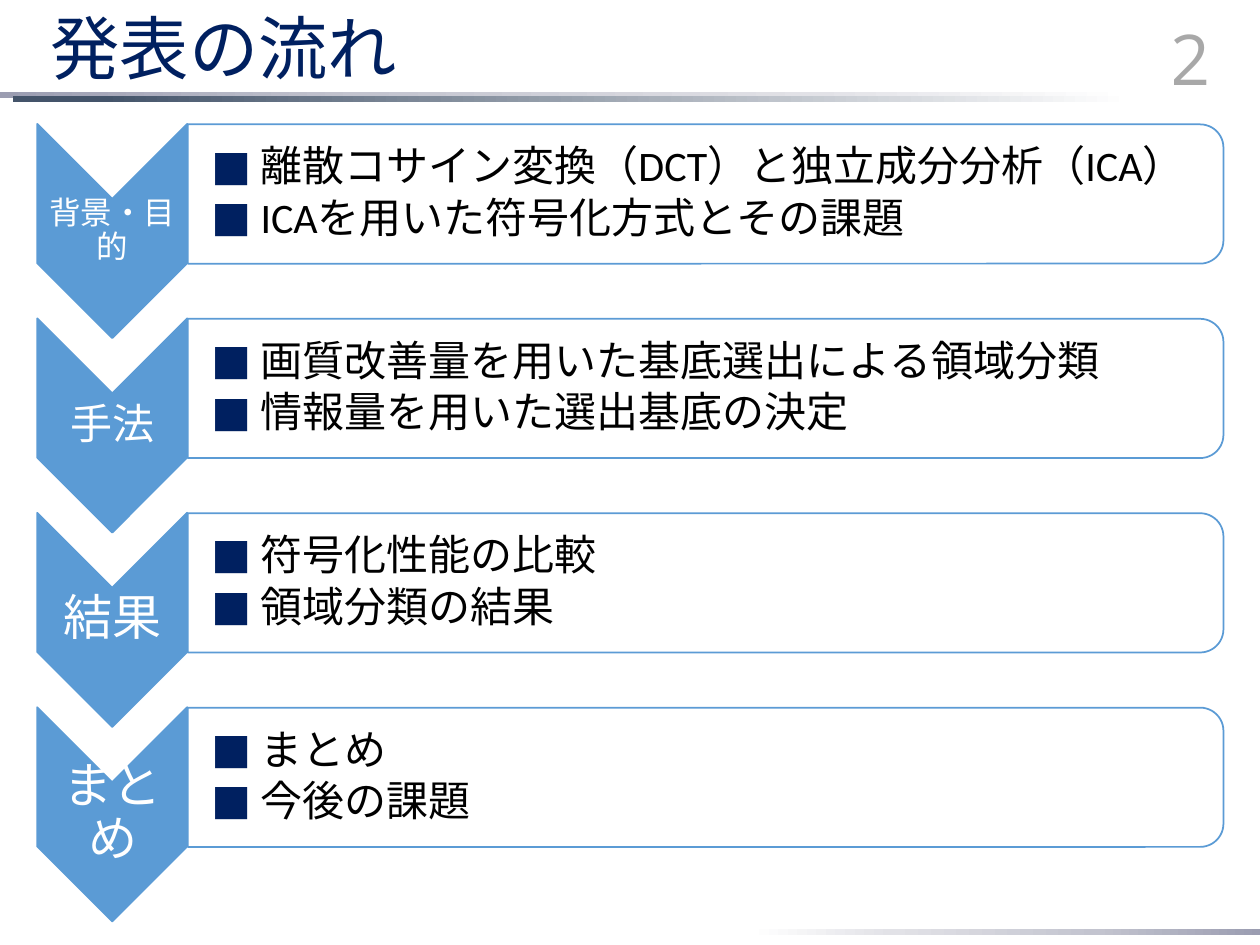
from dataclasses import dataclass

from lxml import etree
from pptx import Presentation
from pptx.dml.color import RGBColor
from pptx.enum.lang import MSO_LANGUAGE_ID
from pptx.enum.shapes import MSO_SHAPE
from pptx.enum.text import MSO_ANCHOR, MSO_AUTO_SIZE, PP_ALIGN
from pptx.oxml.ns import qn
from pptx.util import Pt

RECTANGLE = MSO_SHAPE.RECTANGLE
CHEVRON = MSO_SHAPE.CHEVRON
PANEL = MSO_SHAPE.ROUND_2_SAME_RECTANGLE
MIDDLE = MSO_ANCHOR.MIDDLE
NO_FIT = MSO_AUTO_SIZE.NONE
LEFT, CENTER, RIGHT = PP_ALIGN.LEFT, PP_ALIGN.CENTER, PP_ALIGN.RIGHT
JAPANESE = MSO_LANGUAGE_ID.JAPANESE

NAVY, BLUE, WHITE, BLACK, GRAY = "002060", "5B9BD5", "FFFFFF", "000000", "8C8C8C"
COMPARISON_LAYOUT = 4  # a title and four bodies
ROW_PITCH = 111.1


@dataclass
class Step:
    label: str
    size: float
    items: list[str]


@dataclass
class Bar:
    left: float
    top: float
    width: float
    stops: list[tuple[int, str]]
    rotation: float = 0


PALE_STOPS = [(0, "9B9DB1"), (32, "C3C4CF"), (72, "E2E2E7"), (100, WHITE)]
BARS = [
    Bar(428.4, 530.6, 291.6, PALE_STOPS, 180),
    Bar(0, 52.6, 645.1, PALE_STOPS),
    Bar(7.2, 54.8, 638.6, [(8, "44546A"), (100, WHITE)]),
]
STEPS = [
    Step("背景・目的", 18, [" 離散コサイン変換（DCT）と独立成分分析（ICA）",
                       " ICAを用いた符号化方式とその課題"]),
    Step("手法", 24, [" 画質改善量を用いた基底選出による領域分類",
                    " 情報量を用いた選出基底の決定"]),
    Step("結果", 28, [" 符号化性能の比較", " 領域分類の結果"]),
    Step("まとめ", 28, [" まとめ", " 今後の課題"]),
]


def rgb(code: str) -> RGBColor:
    return RGBColor.from_string(code)


def set_alpha(element, percent: int) -> None:
    """Give the first colour inside the element an opacity."""
    color = next(element.iter(qn("a:srgbClr")))
    etree.SubElement(color, qn("a:alpha"), val=str(percent * 1000))


def place(box, left: float, top: float, width: float, height: float) -> None:
    box.left, box.top, box.width, box.height = map(Pt, (left, top, width, height))


def add_bullet(para, color: str, indent: float) -> None:
    props = para._p.get_or_add_pPr()
    props.set("marL", str(Pt(indent)))
    props.set("indent", str(-Pt(indent)))
    bullet_color = etree.SubElement(props, qn("a:buClr"))
    etree.SubElement(bullet_color, qn("a:srgbClr"), val=color)
    etree.SubElement(props, qn("a:buFont"), typeface="Calibri")
    etree.SubElement(props, qn("a:buChar"), char="■")


def write(box, lines: list[str], *, size: float, color: str, font: str = "Calibri",
          align=LEFT, spacing: float = 0.9, after: float = 0, bullets: bool = False,
          alpha: int = 100, margins: tuple = (7.2, 3.6, 7.2, 3.6)) -> None:
    frame = box.text_frame
    frame.word_wrap, frame.auto_size, frame.vertical_anchor = True, NO_FIT, MIDDLE
    (frame.margin_left, frame.margin_top,
     frame.margin_right, frame.margin_bottom) = map(Pt, margins)
    for number, line in enumerate(lines):
        para = frame.add_paragraph() if number else frame.paragraphs[0]
        para.alignment, para.line_spacing = align, spacing
        para.space_before, para.space_after = Pt(0), Pt(after)
        if bullets:
            add_bullet(para, NAVY, 18)
        span = para.add_run()
        span.text = line
        span.font.size, span.font.name, span.font.bold = Pt(size), font, False
        span.font.color.rgb = rgb(color)
        span.font.language_id = JAPANESE
        props = span.font._element
        props.find(qn("a:latin")).addnext(
            etree.Element(qn("a:ea"), typeface=font))
        if alpha < 100:
            set_alpha(props, alpha)


def add_shape(page, kind, frame: tuple, rotation: float = 0):
    shape = page.shapes.add_shape(kind, *map(Pt, frame))
    shape.rotation = rotation
    shape.shadow.inherit = False
    return shape


def add_bar(page, bar: Bar) -> None:
    shape = add_shape(page, RECTANGLE, (bar.left, bar.top, bar.width, 3.6), bar.rotation)
    shape.line.fill.background()
    shape.fill.gradient()
    shape.fill.gradient_angle = 0
    stop_list = next(shape.element.iter(qn("a:gsLst")))
    for old in list(stop_list):
        stop_list.remove(old)
    for position, color in bar.stops:
        stop = etree.SubElement(stop_list, qn("a:gs"), pos=str(position * 1000))
        etree.SubElement(stop, qn("a:srgbClr"), val=color)


def add_outlined(page, kind, frame: tuple, fill: str):
    shape = add_shape(page, kind, frame, 90)
    shape.fill.solid()
    shape.fill.fore_color.rgb = rgb(fill)
    shape.line.color.rgb = rgb(BLUE)
    shape.line.width = Pt(1)
    return shape


def add_step(page, step: Step, body, offset: float) -> None:
    # Arrow and its label
    add_outlined(page, CHEVRON, (2.9, 89.2 + offset, 122.4, 85.7), BLUE)
    label = page.shapes.add_textbox(Pt(21.4), Pt(113.6 + offset), Pt(85.7), Pt(36.7))
    write(label, [step.label], size=step.size, color=WHITE, align=CENTER,
          margins=(step.size / 20,) * 4)

    # Panel, with the list in front of it
    panel = add_outlined(page, PANEL, (363.4, -185 + offset, 79.6, 591.8), WHITE)
    set_alpha(panel.element.spPr, 90)
    place(body, 107.1, 74.9 + offset, 588, 72)
    body.element.getparent().append(body.element)
    write(body, step.items, size=24, color=BLACK, after=3.6, bullets=True,
          margins=(13.7, 1.2, 1.2, 1.2))


def main() -> None:
    deck = Presentation()
    deck.slide_width, deck.slide_height = Pt(720), Pt(540)
    page = deck.slides.add_slide(deck.slide_layouts[COMPARISON_LAYOUT])
    title, *bodies = list(page.placeholders)

    # Decorative bars
    for bar in BARS:
        add_bar(page, bar)

    # Title and page number
    place(title, 21.6, 7.2, 623.5, 45.4)
    write(title, ["発表の流れ"], size=39.6, color=NAVY, font="Noto Sans CJK JP")
    number = page.shapes.add_textbox(Pt(631.4), Pt(7.2), Pt(67.7), Pt(51.1))
    write(number, ["2"], size=40, color=GRAY, font="Open Sans", align=RIGHT,
          spacing=1, alpha=75)

    # Steps of the talk
    for row, (step, body) in enumerate(zip(STEPS, bodies)):
        add_step(page, step, body, row * ROW_PITCH)

    deck.save("out.pptx")


if __name__ == "__main__":
    main()
